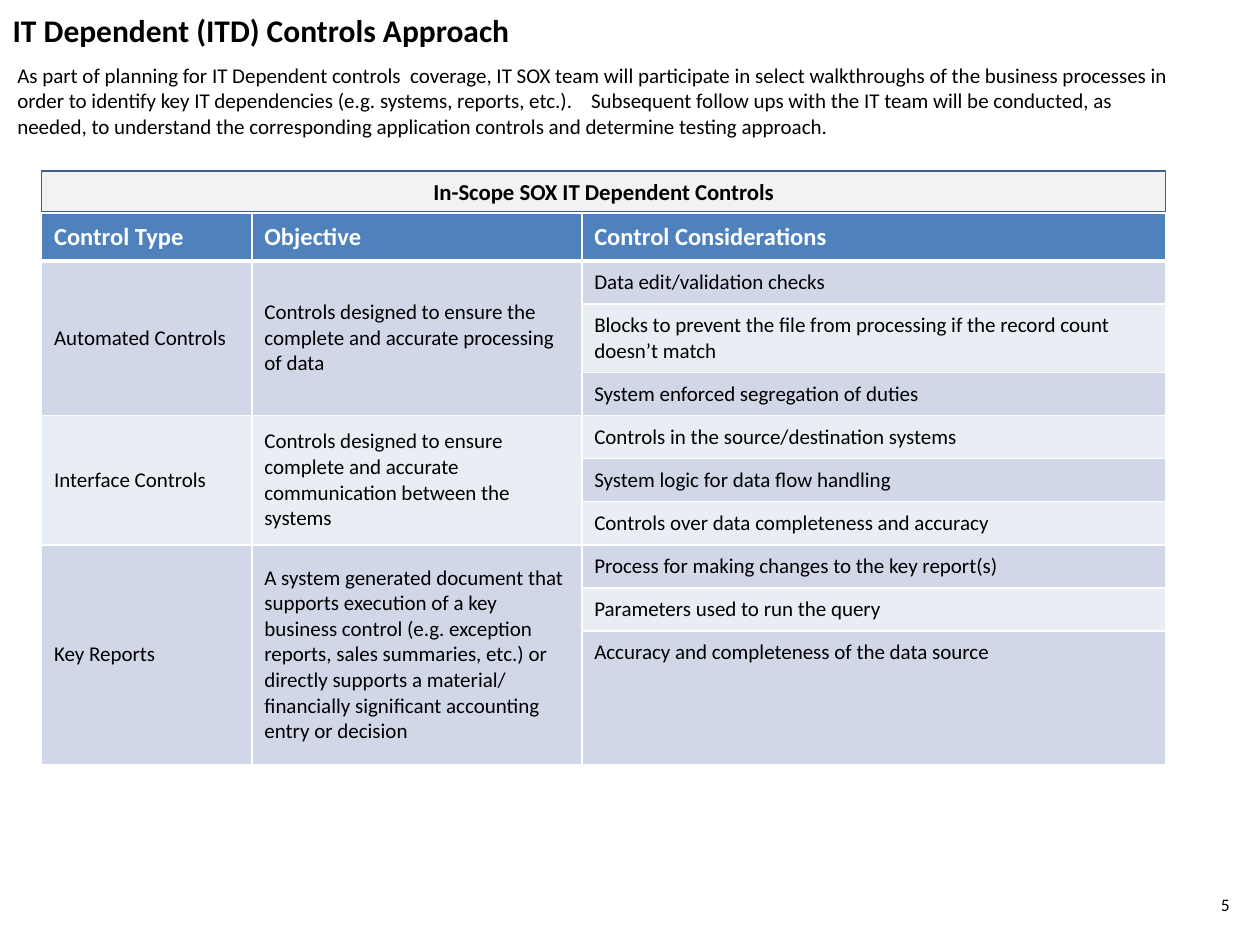
from lxml import etree
from pptx import Presentation
from pptx import util as u
from pptx.dml.color import RGBColor
from pptx.enum import shapes, text
from pptx.oxml import ns

Cm, Pt = u.Cm, u.Pt
FONT = "Calibri"
COLORS = {
    "text": "000000",
    "white": "FFFFFF",
    "header": "4F81BD",
    "band_dark": "D0D8E8",
    "band_light": "E9EDF4",
    "banner": "F2F2F2",
    "banner_line": "3A5F8C",
}

INTRO = (
    "As part of planning for IT Dependent controls  coverage, IT SOX team will "
    "participate in select walkthroughs of the business processes in order to "
    "identify key IT dependencies (e.g. systems, reports, etc.).    Subsequent "
    "follow ups with the IT team will be conducted, as needed, to understand the "
    "corresponding application controls and determine testing approach."
)
HEADINGS = ["Control Type", "Objective", "Control Considerations"]
CONTROLS = [
    ("Automated Controls",
     "Controls designed to ensure the complete and accurate processing of data",
     ["Data edit/validation checks",
      "Blocks to prevent the file from processing if the record count doesn’t match",
      "System enforced segregation of duties"]),
    ("Interface Controls",
     "Controls designed to ensure complete and accurate communication between the systems",
     ["Controls in the source/destination systems",
      "System logic for data flow handling",
      "Controls over data completeness and accuracy"]),
    ("Key Reports",
     "A system generated document that supports execution of a key business control "
     "(e.g. exception reports, sales summaries, etc.) or directly supports a material/ "
     "financially significant accounting entry or decision",
     ["Process for making changes to the key report(s)",
      "Parameters used to run the query",
      "Accuracy and completeness of the data source"]),
]
COL_WIDTHS = [4.24, 6.65, 11.76]
ROW_HEIGHTS = [0.97, 0.85, 1.35] + [0.85] * 6 + [2.7]


def rgb(name):
    return RGBColor.from_string(COLORS[name])


def write(tf, content, size=12, bold=False, color="text",
          align=text.PP_ALIGN.LEFT, anchor=text.MSO_ANCHOR.TOP):
    tf.word_wrap = True
    tf.vertical_anchor = anchor
    p = tf.paragraphs[0]
    p.alignment = align
    r = p.add_run()
    r.text = content
    r.font.name = FONT
    r.font.size = Pt(size)
    r.font.bold = bold
    r.font.color.rgb = rgb(color)


def place(sp, left, top, width, height):
    sp.left, sp.top, sp.width, sp.height = map(Cm, (left, top, width, height))


def add_title(s, content):
    title = s.shapes.title
    place(title, 0, 0.1, 24.3, 1.02)
    title.text_frame.auto_size = text.MSO_AUTO_SIZE.NONE
    write(title.text_frame, content, size=18, bold=True)


def add_text(s, content, left, top, width, height, **fmt):
    box = s.shapes.add_textbox(Cm(left), Cm(top), Cm(width), Cm(height))
    write(box.text_frame, content, **fmt)


def add_banner(s, content, left, top, width, height):
    sp = s.shapes.add_shape(shapes.MSO_SHAPE.RECTANGLE,
                            Cm(left), Cm(top), Cm(width), Cm(height))
    sp.shadow.inherit = False
    sp.fill.solid()
    sp.fill.fore_color.rgb = rgb("banner")
    sp.line.color.rgb = rgb("banner_line")
    sp.line.width = Pt(0.75)
    write(sp.text_frame, content, size=13, bold=True,
          align=text.PP_ALIGN.CENTER, anchor=text.MSO_ANCHOR.MIDDLE)


def set_borders(cell, **widths):
    tc_pr = cell._tc.get_or_add_tcPr()
    for side in "LRTB":
        line = etree.SubElement(tc_pr, ns.qn(f"a:ln{side}"),
                                w=str(Pt(widths.get(side, 1))))
        fill = etree.SubElement(line, ns.qn("a:solidFill"))
        etree.SubElement(fill, ns.qn("a:srgbClr"), val=COLORS["white"])


def style_cell(cell, fill, **borders):
    set_borders(cell, **borders)
    cell.fill.solid()
    cell.fill.fore_color.rgb = rgb(fill)
    cell.margin_left = cell.margin_right = Cm(0.25)
    cell.margin_top = cell.margin_bottom = Cm(0.18)


def fill_cell(cell, content, anchor=text.MSO_ANCHOR.TOP, **fmt):
    write(cell.text_frame, content, **fmt)
    cell.vertical_anchor = anchor


def add_controls_table(s, left, top):
    frame = s.shapes.add_table(
        len(ROW_HEIGHTS), len(COL_WIDTHS), Cm(left), Cm(top),
        Cm(sum(COL_WIDTHS)), Cm(sum(ROW_HEIGHTS)))
    table = frame.table
    table.horz_banding = False
    for column, width in zip(table.columns, COL_WIDTHS):
        column.width = Cm(width)
    for row, height in zip(table.rows, ROW_HEIGHTS):
        row.height = Cm(height)

    # Header row, with a thick rule below it
    for col, heading in enumerate(HEADINGS):
        cell = table.cell(0, col)
        style_cell(cell, "header", B=3)
        fill_cell(cell, heading, size=14, bold=True, color="white")

    # Alternating bands
    for row in range(1, len(ROW_HEIGHTS)):
        for col in range(len(COL_WIDTHS)):
            style_cell(table.cell(row, col),
                       "band_dark" if row % 2 else "band_light",
                       T=3 if row == 1 else 1)

    # Each control type spans its considerations
    first = 1
    for control, objective, considerations in CONTROLS:
        last = first + len(considerations) - 1
        for col, content in enumerate((control, objective)):
            cell = table.cell(first, col)
            cell.merge(table.cell(last, col))
            fill_cell(cell, content, anchor=text.MSO_ANCHOR.MIDDLE)
        for row, item in enumerate(considerations, first):
            fill_cell(table.cell(row, 2), item)
        first = last + 1


def main():
    prs = Presentation()
    prs.slide_width, prs.slide_height = Cm(25.4), Cm(19.05)
    s = prs.slides.add_slide(prs.slide_layouts[5])

    # Heading and introduction
    add_title(s, "IT Dependent (ITD) Controls Approach")
    add_text(s, INTRO, 0.1, 1.14, 23.98, 1.8)

    # Controls table under its banner
    add_banner(s, "In-Scope SOX IT Dependent Controls", 0.84, 3.45, 22.65, 0.82)
    add_controls_table(s, 0.84, 4.29)

    # Page number
    add_text(s, "5", 24.36, 17.9, 0.75, 0.69, size=10)

    prs.save("out.pptx")


if __name__ == "__main__":
    main()
